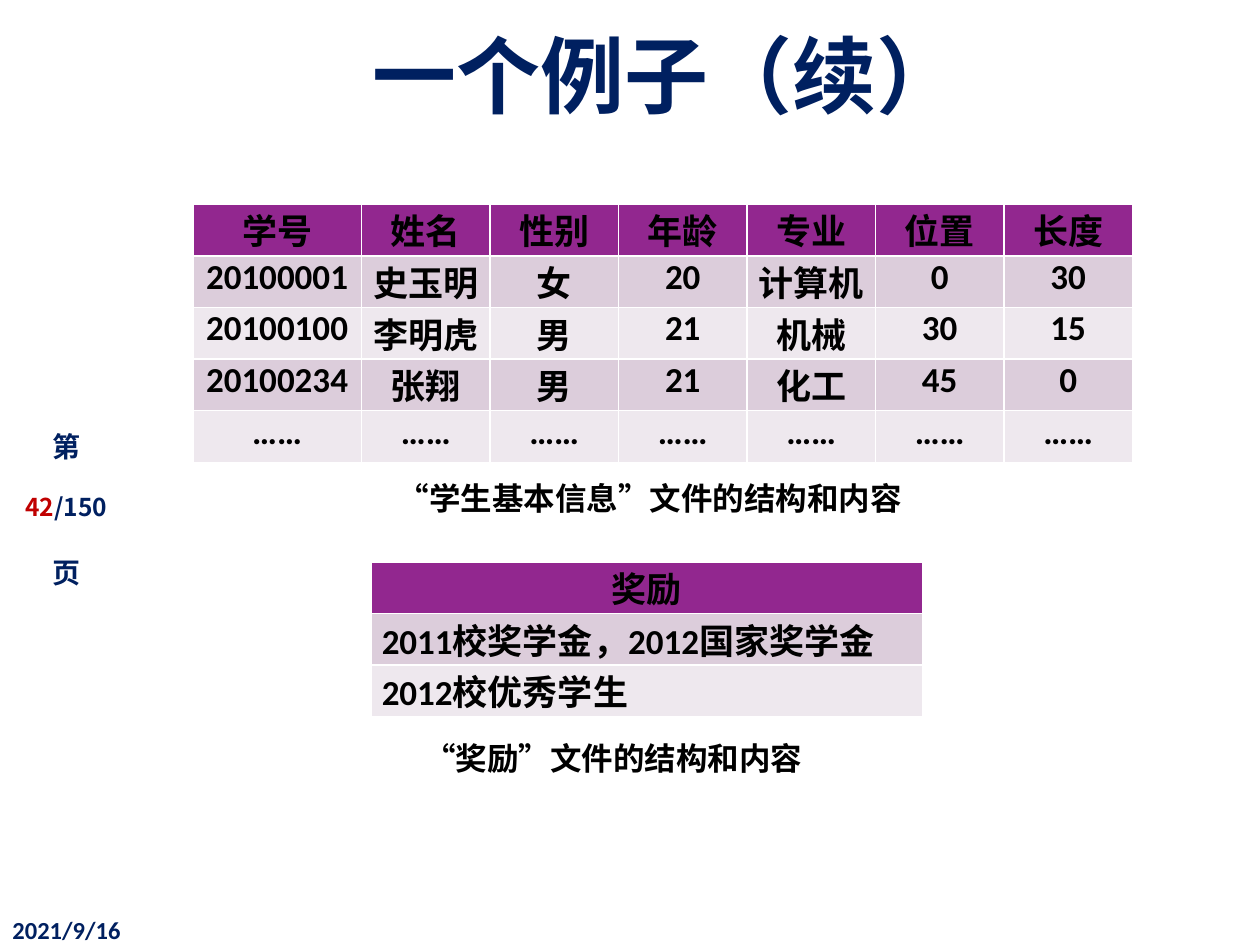
from lxml.etree import SubElement
from pptx import Presentation
from pptx.dml.color import RGBColor
from pptx.enum.text import MSO_ANCHOR, PP_ALIGN
from pptx.oxml.ns import qn
from pptx.util import Inches, Pt

NAVY, RED, BLACK = "002060", "C00000", "000000"
PURPLE, DARK_BAND, LIGHT_BAND = "92278F", "DCCDDB", "EEE8EE"
CJK_FONT = "Noto Sans CJK SC"


def add_span(para, text, size, font, color):
    span = para.add_run()
    span.text = text
    span.font.size = Pt(size)
    span.font.name = font
    span.font.bold = True
    span.font.color.rgb = RGBColor.from_string(color)
    SubElement(span.font._element, qn("a:ea")).set("typeface", CJK_FONT)


def add_box(left, top, width, height, wrap=True, anchor=MSO_ANCHOR.TOP):
    box = page.shapes.add_textbox(Inches(left), Inches(top), Inches(width), Inches(height))
    box.text_frame.word_wrap = wrap
    box.text_frame.vertical_anchor = anchor
    return box.text_frame


deck = Presentation()
deck.slide_width, deck.slide_height = Inches(10), Inches(7.5)
page = deck.slides.add_slide(deck.slide_layouts[6])

# Page counter at the left edge
counter = add_box(0, 2.96, 1.05, 1.89, anchor=MSO_ANCHOR.MIDDLE)
counter_lines = [
    [("第", 16, NAVY)],
    [("42", 14, RED), ("/150", 14, NAVY)],
    [("页", 16, NAVY)],
]
for index, line in enumerate(counter_lines):
    para = counter.add_paragraph() if index else counter.paragraphs[0]
    para.alignment = PP_ALIGN.CENTER
    para.line_spacing = 2.0
    for text, size, color in line:
        add_span(para, text, size, CJK_FONT, color)

# Title
title = add_box(1.08, 0.21, 8.42, 0.75, anchor=MSO_ANCHOR.MIDDLE).paragraphs[0]
title.alignment = PP_ALIGN.CENTER
add_span(title, "一个例子（续）", 48, "Roboto", NAVY)

# Tables: left, top, column widths, alignment of the body, rows
students = [
    ["学号", "姓名", "性别", "年龄", "专业", "位置", "长度"],
    ["20100001", "史玉明", "女", "20", "计算机", "0", "30"],
    ["20100100", "李明虎", "男", "21", "机械", "30", "15"],
    ["20100234", "张翔", "男", "21", "化工", "45", "0"],
    ["……"] * 7,
]
awards = [["奖励"], ["2011校奖学金，2012国家奖学金"], ["2012校优秀学生"]]
tables = [
    (2.95, 4.46, [4.37], PP_ALIGN.JUSTIFY, awards),
    (1.53, 1.62, [1.34] + [1.02] * 6, PP_ALIGN.CENTER, students),
]
row_height = 0.41
for left, top, widths, body_alignment, rows in tables:
    table = page.shapes.add_table(
        len(rows), len(widths), Inches(left), Inches(top),
        Inches(sum(widths)), Inches(row_height * len(rows))).table
    for column, width in zip(table.columns, widths):
        column.width = Inches(width)
    for row_index, row in enumerate(rows):
        if row_index == 0:
            fill, alignment = PURPLE, PP_ALIGN.CENTER
        else:
            fill = DARK_BAND if row_index % 2 else LIGHT_BAND
            alignment = body_alignment
        for column_index, text in enumerate(row):
            cell = table.cell(row_index, column_index)
            cell.margin_left = cell.margin_right = Inches(0.08)
            cell.margin_top = cell.margin_bottom = 0
            cell.fill.solid()
            cell.fill.fore_color.rgb = RGBColor.from_string(fill)
            para = cell.text_frame.paragraphs[0]
            para.alignment = alignment
            add_span(para, text, 20, "Calibri", BLACK)

# Captions under the tables
captions = [
    (3.27, 5.82, 3.25, 0, "“奖励”文件的结构和内容"),
    (2.56, 3.75, 4.76, 0.5, "“学生基本信息”文件的结构和内容"),
]
for left, top, width, indent, text in captions:
    para = add_box(left, top, width, 0.4, wrap=False).paragraphs[0]
    para._p.get_or_add_pPr().set("marL", str(Inches(indent)))
    add_span(para, text, 18, "Arial", BLACK)

# Date
date = add_box(0, 7.21, 1.08, 0.29).paragraphs[0]
add_span(date, "2021/9/16", 14, "Calibri", NAVY)

deck.save("out.pptx")
